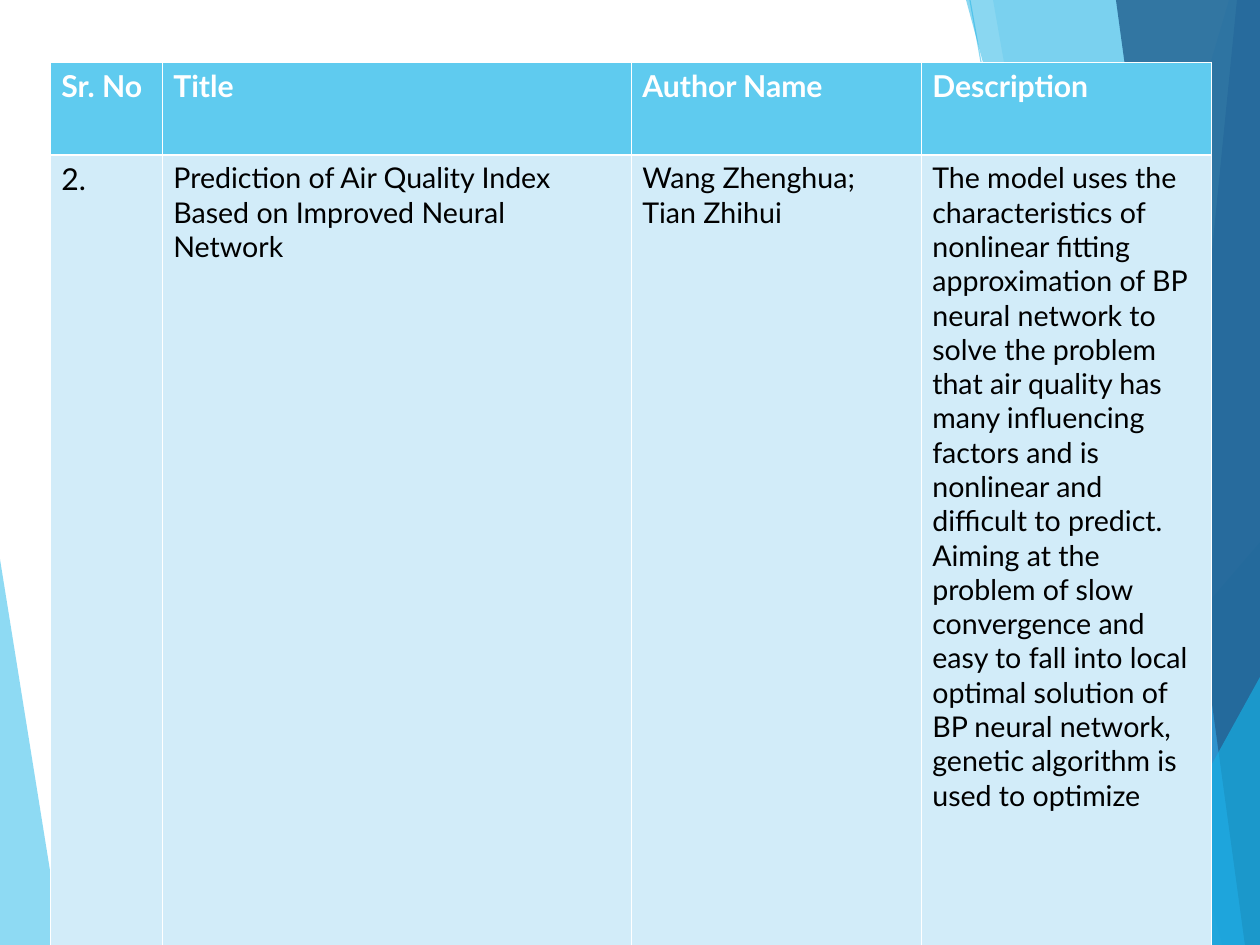
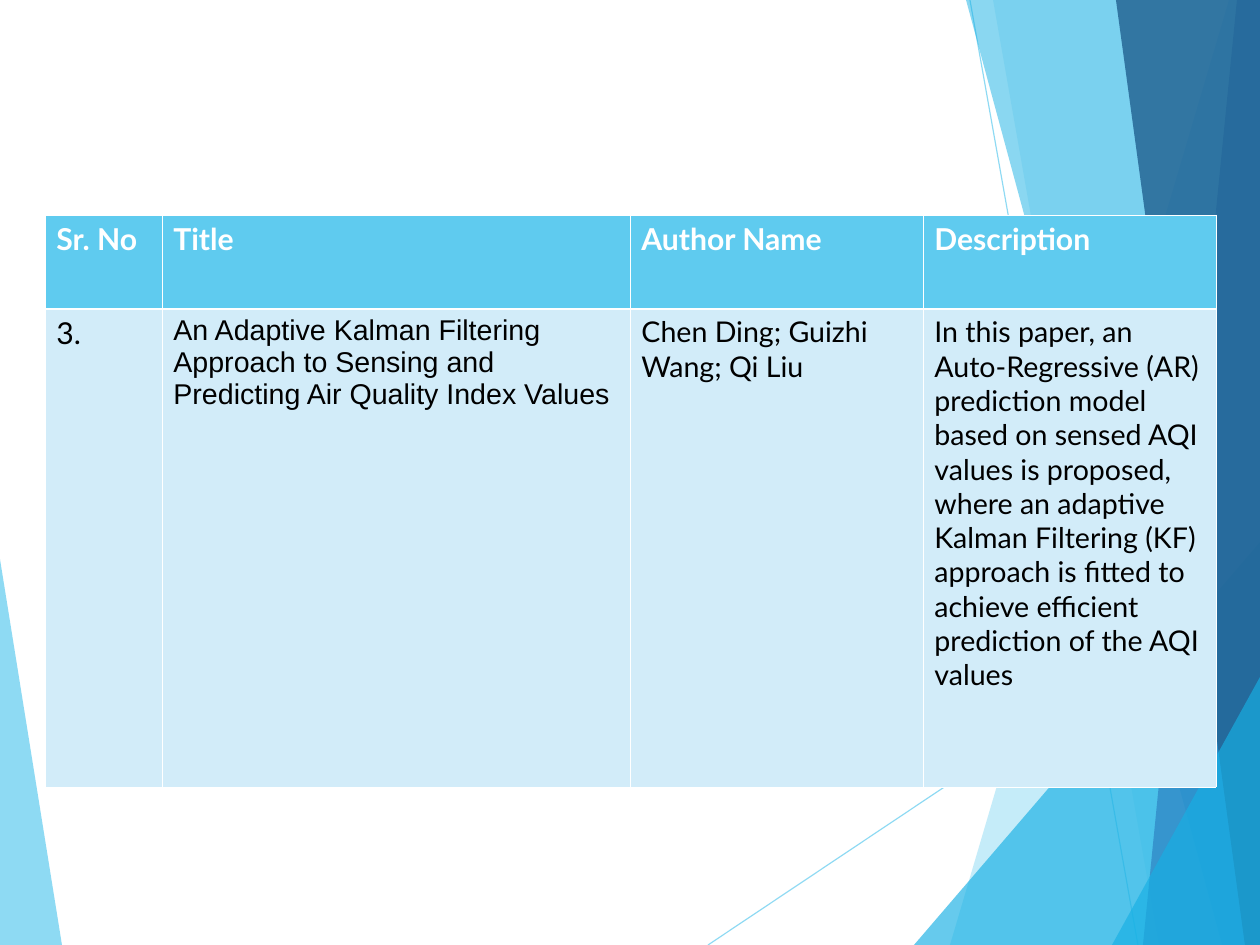
import lxml.etree
import pptx
import pptx.dml.color
import pptx.enum.shapes
import pptx.oxml.ns
import pptx.util

PIXEL = 8000  # EMU in one px
WIDTH, HEIGHT = 1260, 945

COLOURS = {
    "sky": "5FCBEF", "cyan": "17B0E4", "blue": "2E83C3", "navy": "236292",
    "pale": "D2ECF9", "white": "FFFFFF", "black": "000000",
}

# Background shared by all slides, back to front: points, colour, opacity in percent
BANDS_BEHIND = [
    ([(0, 559), (62, HEIGHT), (0, HEIGHT)], "sky", 70),
]
LINES = [
    ((708, HEIGHT), (WIDTH, 576)),
    ((970, 0), (1138, HEIGHT)),
]
BANDS_IN_FRONT = [
    ([(1229, 0), (950, HEIGHT), (WIDTH, HEIGHT), (WIDTH, 0)], "sky", 36),
    ([(993, 0), (1159, HEIGHT), (WIDTH, HEIGHT), (WIDTH, 0)], "sky", 20),
    ([(914, HEIGHT), (WIDTH, 542), (WIDTH, HEIGHT)], "cyan", 66),
    ([(966, 0), (1222, HEIGHT), (WIDTH, HEIGHT), (WIDTH, 0)], "cyan", 50),
    ([(1237, 0), (1143, HEIGHT), (WIDTH, HEIGHT), (WIDTH, 0)], "blue", 70),
    ([(1116, 0), (1245, HEIGHT), (WIDTH, HEIGHT), (WIDTH, 0)], "navy", 82),
    ([(1112, HEIGHT), (WIDTH, 677), (WIDTH, HEIGHT)], "cyan", 66),
]

HEADINGS = ["Sr. No", "Title", "Author Name", "Description"]
PAPERS = [
    {
        "position": (50, 62),
        "columns": [112, 469, 290, 290],
        "rows": [93, 828],
        "title_font": "Lato",
        "cells": [
            "2.",
            "Prediction of Air Quality Index Based on Improved Neural Network",
            "Wang Zhenghua; Tian Zhihui",
            "The model uses the characteristics of nonlinear fitting approximation of BP "
            "neural network to solve the problem that air quality has many influencing "
            "factors and is nonlinear and difficult to predict. Aiming at the problem of "
            "slow convergence and easy to fall into local optimal solution of BP neural "
            "network, genetic algorithm is used to optimize",
        ],
    },
    {
        "position": (45, 215),
        "columns": [117, 468, 293, 293],
        "rows": [94, 478],
        "title_font": "Arial",
        "cells": [
            "3.",
            "An Adaptive Kalman Filtering Approach to Sensing and Predicting Air Quality "
            "Index Values",
            "Chen Ding; Guizhi Wang; Qi Liu",
            "In this paper, an Auto-Regressive (AR) prediction model based on sensed AQI "
            "values is proposed, where an adaptive Kalman Filtering (KF) approach is "
            "fitted to achieve efficient prediction of the AQI values",
        ],
    },
]

qn = pptx.oxml.ns.qn


def px(length):
    return pptx.util.Emu(length * PIXEL)


def colour(name):
    return pptx.dml.color.RGBColor.from_string(COLOURS[name])


def set_opacity(shape, percent):
    for element in shape.element.iter(qn("a:srgbClr")):
        lxml.etree.SubElement(element, qn("a:alpha"), val=str(percent * 1000))


# Background, moved to the slide master
def add_band(slide, points, fill, opacity):
    builder = slide.shapes.build_freeform(*points[0], scale=PIXEL)
    builder.add_line_segments(points[1:], close=True)
    shape = builder.convert_to_shape()
    shape.shadow.inherit = False
    shape.fill.solid()
    shape.fill.fore_color.rgb = colour(fill)
    shape.line.fill.background()
    set_opacity(shape, opacity)
    return shape


def add_thin_line(slide, start, end):
    connector = slide.shapes.add_connector(
        pptx.enum.shapes.MSO_CONNECTOR.STRAIGHT, *map(px, start + end))
    connector.line.color.rgb = colour("sky")
    connector.line.width = pptx.util.Pt(0.75)
    set_opacity(connector, 70)
    lxml.etree.SubElement(connector.element.spPr, qn("a:effectLst"))
    return connector


def decorate_master(master, slide):
    shapes = [add_band(slide, *band) for band in BANDS_BEHIND]
    shapes += [add_thin_line(slide, *ends) for ends in LINES]
    shapes += [add_band(slide, *band) for band in BANDS_IN_FRONT]
    for shape in shapes:
        master.shapes.element.append(shape.element)


# Table
def set_borders(cell, widths):
    properties = cell._tc.get_or_add_tcPr()
    for index, (side, width) in enumerate(widths.items()):
        border = lxml.etree.Element(qn("a:ln" + side), w=str(pptx.util.Pt(width)))
        fill = lxml.etree.SubElement(border, qn("a:solidFill"))
        lxml.etree.SubElement(fill, qn("a:srgbClr"), val=COLOURS["white"])
        properties.insert(index, border)


def fill_cell(cell, text, is_heading, size, font_name):
    cell.text_frame.text = text
    font = cell.text_frame.paragraphs[0].runs[0].font
    font.name = font_name
    font.size = pptx.util.Pt(size)
    font.bold = is_heading
    font.color.rgb = colour("white" if is_heading else "black")
    cell.fill.solid()
    cell.fill.fore_color.rgb = colour("sky" if is_heading else "pale")
    thin, thick = 0.45, 1.47
    set_borders(cell, {"L": thin, "R": thin,
                       "T": thin if is_heading else thick,
                       "B": thick if is_heading else thin})


def add_paper_table(slide, paper):
    columns, rows = paper["columns"], paper["rows"]
    table = slide.shapes.add_table(
        len(rows), len(columns), *map(px, paper["position"]),
        px(sum(columns)), px(sum(rows))).table
    for column, width in zip(table.columns, columns):
        column.width = px(width)
    for row, height in zip(table.rows, rows):
        row.height = px(height)
    for index, (heading, text) in enumerate(zip(HEADINGS, paper["cells"])):
        fill_cell(table.cell(0, index), heading, True, 19, "Lato")
        fill_cell(table.cell(1, index), text, False,
                  19 if heading == "Sr. No" else 18,
                  paper["title_font"] if heading == "Title" else "Lato")


def main():
    presentation = pptx.Presentation()
    presentation.slide_width = px(WIDTH)
    presentation.slide_height = px(HEIGHT)
    blank_layout = presentation.slide_layouts[6]
    slides = [presentation.slides.add_slide(blank_layout) for paper in PAPERS]
    decorate_master(presentation.slide_master, slides[0])
    for slide, paper in zip(slides, PAPERS):
        add_paper_table(slide, paper)
    presentation.save("out.pptx")


if __name__ == "__main__":
    main()
